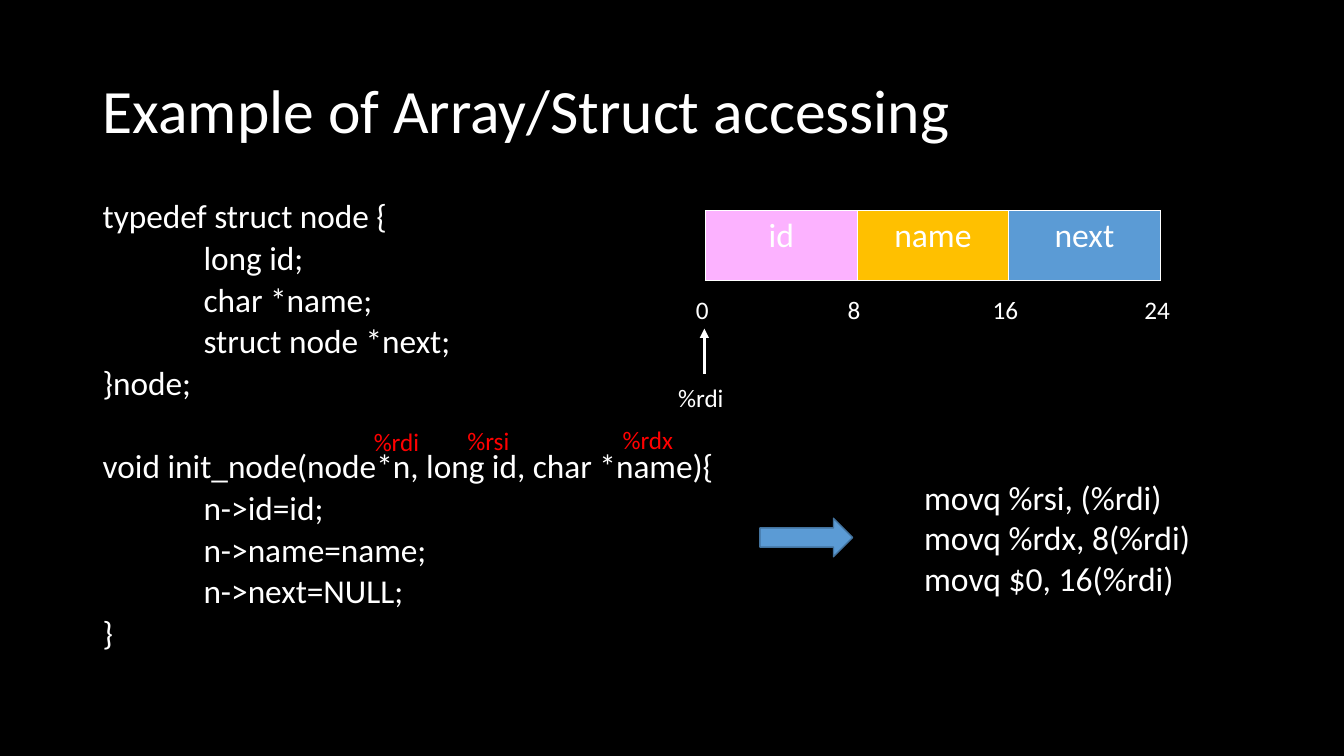
"""Build a slide on how struct fields are reached from assembly code."""
from lxml import etree
from pptx import Presentation
from pptx.dml.color import RGBColor
from pptx.enum.shapes import MSO_CONNECTOR, MSO_SHAPE
from pptx.enum.text import MSO_ANCHOR, PP_ALIGN
from pptx.oxml.ns import qn
from pptx.util import Cm, Pt

COLORS = {"black": "000000", "white": "FFFFFF", "red": "FF0000", "pink": "FCB2FF",
          "amber": "FFC000", "blue": "5B9BD5", "outline": "43739E"}


class StructSlide:
    def __init__(self, prs):
        self.font = "Calibri"
        self.slide = prs.slides.add_slide(prs.slide_layouts[6])
        self.paint(self.slide.background.fill, "black")

    def paint(self, fill, color):
        fill.solid()
        fill.fore_color.rgb = RGBColor.from_string(COLORS[color])

    def styled_run(self, paragraph, text, size, color="white", align=PP_ALIGN.LEFT):
        paragraph.alignment = align
        run = paragraph.add_run()
        run.text = text
        run.font.name, run.font.size, run.font.bold = self.font, Pt(size), False
        run.font.color.rgb = RGBColor.from_string(COLORS[color])

    def text(self, box, lines, size, color="white", align=PP_ALIGN.LEFT,
             anchor=MSO_ANCHOR.TOP, spacing=1.0):
        frame = self.slide.shapes.add_textbox(*map(Cm, box)).text_frame
        frame.word_wrap, frame.vertical_anchor = True, anchor
        for i, line in enumerate(lines):
            paragraph = frame.add_paragraph() if i else frame.paragraphs[0]
            paragraph.line_spacing = spacing
            self.styled_run(paragraph, line, size, color, align)
        return frame.paragraphs

    def code(self, box, blocks, size, gap, pitch):
        lines = [line for block in blocks for line in block]
        starts = {block[0] for block in blocks[1:]}
        for paragraph, line in zip(self.text(box, lines, size, spacing=0.7), lines):
            paragraph.space_before = Pt(gap + pitch if line in starts else gap)
            if line.endswith(";") and not line.startswith("}"):
                properties = paragraph._p.get_or_add_pPr()
                properties.set("marL", str(Cm(2.54)))
                properties.set("indent", "0")

    def field_table(self, left, top, width, height, fields):
        table = self.slide.shapes.add_table(
            1, len(fields), Cm(left), Cm(top), Cm(width * len(fields)), Cm(height)).table
        table.first_row = table.horz_banding = False
        for i, (name, color) in enumerate(fields):
            table.columns[i].width = Cm(width)
            cell = table.cell(0, i)
            self.styled_run(cell.text_frame.paragraphs[0], name, 24, align=PP_ALIGN.CENTER)
            properties = cell._tc.get_or_add_tcPr()
            for side in ("lnL", "lnR", "lnT", "lnB"):
                border = etree.SubElement(properties, qn(f"a:{side}"), w=str(Pt(1)))
                solid = etree.SubElement(border, qn("a:solidFill"))
                etree.SubElement(solid, qn("a:srgbClr"), val=COLORS["white"])
            self.paint(cell.fill, color)

    def block_arrow(self, box):
        arrow = self.slide.shapes.add_shape(MSO_SHAPE.RIGHT_ARROW, *map(Cm, box))
        arrow.shadow.inherit = False
        self.paint(arrow.fill, "blue")
        self.paint(arrow.line.fill, "outline")
        arrow.line.width = Pt(1)

    def pointer(self, x, bottom, top):
        connector = self.slide.shapes.add_connector(
            MSO_CONNECTOR.STRAIGHT, Cm(x), Cm(bottom), Cm(x), Cm(top))
        self.paint(connector.line.fill, "white")
        connector.line.width = Pt(2.25)
        properties = connector._element.spPr
        etree.SubElement(properties.find(qn("a:ln")), qn("a:tailEnd"), type="triangle")
        etree.SubElement(properties, qn("a:effectLst"))


prs = Presentation()
prs.slide_width, prs.slide_height = Cm(33.87), Cm(19.05)
page = StructSlide(prs)

page.text((2.34, 1.02, 29.21, 3.68), ["Example of Array/Struct accessing"], 44,
          anchor=MSO_ANCHOR.MIDDLE, spacing=0.9)
page.code((2.34, 5.08, 16.28, 12.09), [
    ["typedef struct node {", "long id;", "char *name;", "struct node *next;", "}node;"],
    ["void init_node(node*n, long id, char *name){", "n->id=id;", "n->name=name;",
     "n->next=NULL;", "}"],
], size=23.8, gap=9.7, pitch=30)

FIELD_LEFT, FIELD_WIDTH, LABEL_WIDTH = 17.78, 3.82, 2
page.field_table(FIELD_LEFT, 5.31, FIELD_WIDTH, 1.75,
                 [("id", "pink"), ("name", "amber"), ("next", "blue")])
for i in range(4):
    left = FIELD_LEFT + i * FIELD_WIDTH - LABEL_WIDTH / 2 - 0.08
    page.text((left, 7.29, LABEL_WIDTH, 1.02), [str(8 * i)], 18, align=PP_ALIGN.CENTER)

page.text((23.04, 11.89, 9.93, 3.33),
          ["movq %rsi, (%rdi)", "movq %rdx, 8(%rdi)", "movq $0, 16(%rdi)"], 24)
page.block_arrow((19.15, 13.06, 2.34, 0.97))
page.pointer(17.75, 9.42, 8.28)
for register, left, top, color in [("%rdi", 9.17, 10.62, "red"), ("%rsi", 11.53, 10.6, "red"),
                                   ("%rdx", 15.44, 10.57, "red"), ("%rdi", 16.84, 9.5, "white")]:
    page.text((left, top, LABEL_WIDTH, 1.02), [register], 18, color)

prs.save("out.pptx")
